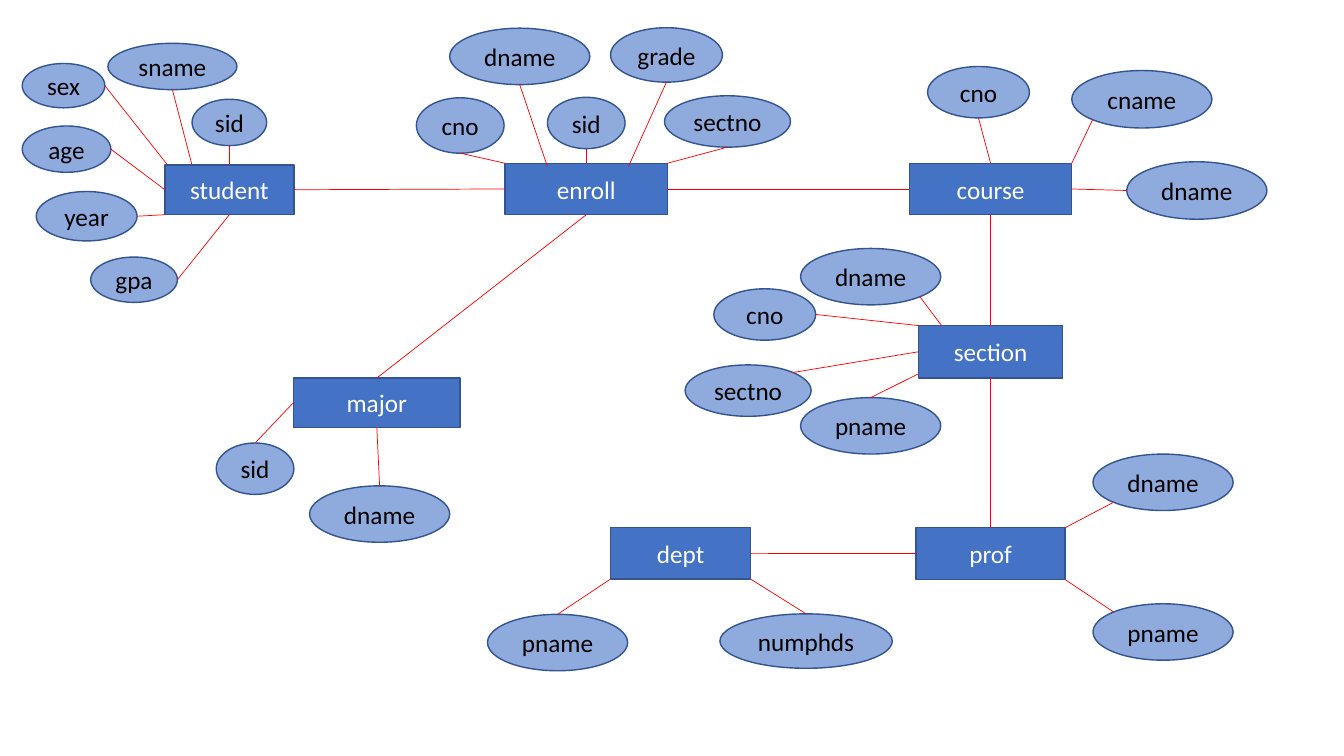
"""Entity-relationship diagram of a college database."""
from dataclasses import dataclass

from lxml.etree import SubElement
from pptx import Presentation
from pptx.dml.color import RGBColor
from pptx.enum.shapes import MSO_CONNECTOR, MSO_SHAPE
from pptx.enum.text import MSO_ANCHOR, PP_ALIGN
from pptx.oxml.ns import qn
from pptx.util import Inches, Pt

COLS, ROWS = 1333, 750
WIDE, HIGH = Inches(13.33), Inches(7.5)


@dataclass(frozen=True)
class Theme:
    entity: str = "4472C4"
    attr: str = "8FAADC"
    edge: str = "325491"
    link: str = "FF0000"
    light: str = "FFFFFF"
    dark: str = "000000"
    font: str = "Calibri"
    size: int = 18
    rim: float = 1
    thin: float = 0.5


THEME = Theme()

TOP, LEFT, LOW, RIGHT = (0.5, 0), (0, 0.5), (0.5, 1), (1, 0.5)
NW, NE, SW, SE = (0, 0), (1, 0), (0, 1), (1, 1)
ARC_NW, ARC_NE, ARC_SW, ARC_SE = (0.15, 0.15), (0.85, 0.15), (0.15, 0.85), (0.85, 0.85)

# Boxes: column, row, columns, rows. Attributes: name, box, oval port, entity port.
ENTITIES = {
    "student": ((163.5, 163.5, 128, 49.5), [
        ("sid", (190.5, 98.5, 74, 46), LOW, TOP),
        ("sname", (107, 43, 128, 46), LOW, (0.21, 0)),
        ("sex", (22, 63, 82, 44), RIGHT, (0.02, 0)),
        ("age", (22, 125, 88, 46), RIGHT, LEFT),
        ("year", (36, 190, 100, 49), RIGHT, SW),
        ("gpa", (90, 255, 86, 45), RIGHT, LOW),
    ]),
    "enroll": ((501, 162, 161, 51), [
        ("sid", (543, 96.5, 77, 51), LOW, TOP),
        ("grade", (605.5, 27.5, 111, 54), LOW, (0.76, 0.06)),
        ("cno", (413, 97, 87, 55), LOW, NW),
        ("dname", (446, 28, 139, 56), LOW, (0.26, 0.06)),
        ("sectno", (659, 95, 125, 51), LOW, NE),
    ]),
    "course": ((902, 162, 161, 51), [
        ("cno", (920, 66, 101, 51), LOW, TOP),
        ("dname", (1117.5, 160.5, 139, 57), LEFT, RIGHT),
        ("cname", (1063, 70, 139, 57), ARC_SW, NE),
    ]),
    "major": ((291, 375, 165.5, 49), [
        ("sid", (214.5, 439.5, 77, 51), TOP, LEFT),
        ("dname", (307, 482, 139, 56), TOP, LOW),
    ]),
    "section": ((911, 323, 143, 52), [
        ("pname", (794, 394.5, 139, 56), TOP, (0, 0.92)),
        ("sectno", (679.5, 362, 125, 51), ARC_NE, LEFT),
        ("cno", (708, 286.5, 101, 51), RIGHT, NW),
        ("dname", (794, 246.5, 139, 56), ARC_SE, (0.16, 0)),
    ]),
    "prof": ((908.5, 523.5, 148, 51.5), [
        ("pname", (1084, 599, 139, 56), ARC_NW, SE),
        ("dname", (1084, 450.5, 139, 56), ARC_SW, NE),
    ]),
    "dept": ((605.5, 523.5, 139, 51), [
        ("pname", (483.5, 609.5, 139, 56), TOP, SW),
        ("numphds", (714, 609, 171, 54), TOP, SE),
    ]),
}

RELATIONS = [
    ("student", RIGHT, "enroll", LEFT),
    ("enroll", RIGHT, "course", LEFT),
    ("major", TOP, "enroll", LOW),
    ("course", LOW, "section", TOP),
    ("section", LOW, "prof", TOP),
    ("dept", RIGHT, "prof", LEFT),
]


def place(col, row):
    return round(WIDE * col / COLS), round(HIGH * row / ROWS)


def port(box, spot):
    col, row, cols, rows = box
    return place(col + cols * spot[0], row + rows * spot[1])


def node(slide, kind, label, box, fill, ink):
    shape = slide.shapes.add_shape(kind, *place(*box[:2]), *place(*box[2:]))
    shape.shadow.inherit = False
    shape.fill.solid()
    shape.fill.fore_color.rgb = RGBColor.from_string(fill)
    shape.line.color.rgb = RGBColor.from_string(THEME.edge)
    shape.line.width = Pt(THEME.rim)
    frame = shape.text_frame
    frame.word_wrap = False
    frame.vertical_anchor = MSO_ANCHOR.MIDDLE
    para = frame.paragraphs[0]
    para.alignment = PP_ALIGN.CENTER
    run = para.add_run()
    run.text = label
    run.font.name = THEME.font
    run.font.size = Pt(THEME.size)
    run.font.color.rgb = RGBColor.from_string(ink)
    return shape


def link(slide, start, end):
    line = slide.shapes.add_connector(MSO_CONNECTOR.STRAIGHT, *start, *end)
    line.line.color.rgb = RGBColor.from_string(THEME.link)
    line.line.width = Pt(THEME.thin)
    SubElement(line._element.spPr, qn("a:effectLst"))
    return line


def main():
    deck = Presentation()
    deck.slide_width, deck.slide_height = WIDE, HIGH
    slide = deck.slides.add_slide(deck.slide_layouts[6])
    rects = {}
    for name, (box, attrs) in ENTITIES.items():
        rects[name] = node(slide, MSO_SHAPE.RECTANGLE, name, box,
                           THEME.entity, THEME.light)
        for label, oval, start, end in attrs:
            node(slide, MSO_SHAPE.OVAL, label, oval, THEME.attr, THEME.dark)
            link(slide, port(oval, start), port(box, end))
    sites = [TOP, LEFT, LOW, RIGHT]
    for one, start, two, end in RELATIONS:
        line = link(slide, port(ENTITIES[one][0], start), port(ENTITIES[two][0], end))
        line.begin_connect(rects[one], sites.index(start))
        line.end_connect(rects[two], sites.index(end))
    deck.save("out.pptx")


if __name__ == "__main__":
    main()
